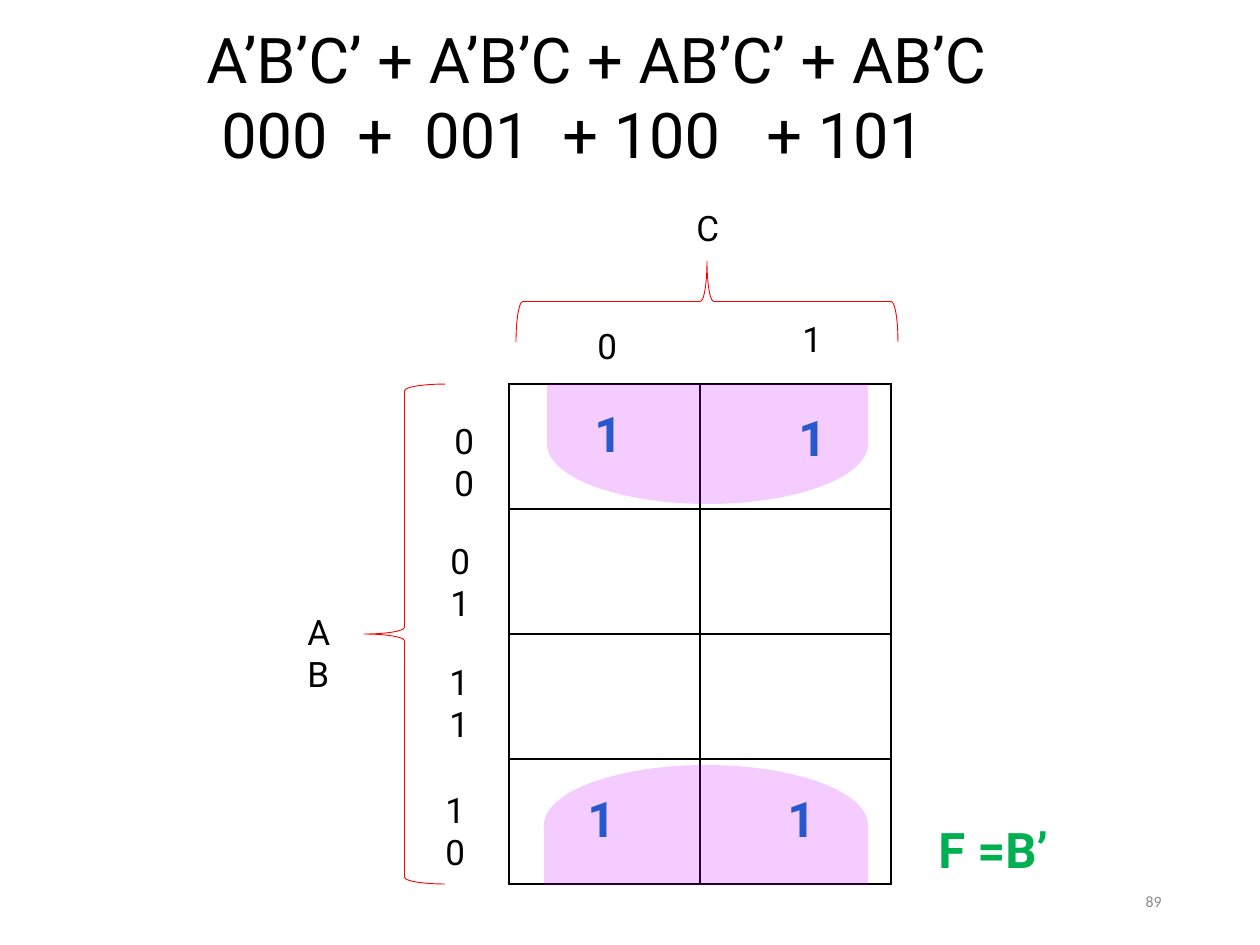
from lxml import etree
from pptx import Presentation
from pptx.dml.color import RGBColor
from pptx.enum.shapes import MSO_SHAPE
from pptx.enum.text import MSO_ANCHOR, PP_ALIGN
from pptx.oxml.ns import qn
from pptx.util import Emu, Pt

BRACE = MSO_SHAPE.RIGHT_BRACE
DELAY = MSO_SHAPE.FLOWCHART_DELAY
MIDDLE = MSO_ANCHOR.MIDDLE
RIGHT = PP_ALIGN.RIGHT

BLACK, RED, BLUE, GREEN = "000000", "FF0000", "0070C0", "00B050"
GRAY, PURPLE = "8C8C8C", "CC00FF"

# Content: places are left, top, width, height in px
EXPRESSION = "A’B’C’ + A’B’C + AB’C’ + AB’C\n\t000\t+\t001\t+ 100\t+ 101"
EXPRESSION_PLACE = (194, 14, 911, 165)
EXPRESSION_TABS = (15, 151, 218, 356, 560)

MAP_PLACE = (509, 384, 382, 500)
MAP_ROWS, MAP_COLUMNS = 4, 2

LABELS = [
    ("00", (442, 413, 64, 55)),
    ("01", (438, 533, 64, 55)),
    ("11", (437, 654, 64, 55)),
    ("10", (433, 782, 64, 55)),
    ("0", (585, 318, 44, 55)),
    ("1", (790, 311, 54, 55)),
    ("AB", (295, 604, 68, 55)),
    ("C", (684, 200, 47, 55)),
]
ONES = [(786, 401), (582, 397), (775, 782), (575, 782)]
BRACES = [((516, 261, 382, 81), 270), ((364, 384, 81, 500), 180)]
GROUPS = [((547, 384, 321, 120), 90), ((544, 765, 324, 120), 270)]
RESULT = ("F =B’", (926, 813, 158, 72))
PAGE_NUMBER = ("89", (890, 876, 284, 50))


def px(length):
    return Emu(round(length * 914400 / 126))


def color(value):
    return RGBColor.from_string(value)


def add_text(text, place, size, shade=BLACK, font="Roboto", bold=False):
    box = page.shapes.add_textbox(*map(px, place))
    frame = box.text_frame
    frame.word_wrap = True
    frame.text = text
    for para in frame.paragraphs:
        for span in para.runs:
            span.font.name = font
            span.font.size = Pt(size)
            span.font.bold = bold
            span.font.color.rgb = color(shade)
    return frame


def add_turned(kind, place, rotation):
    """Place a rotated shape by the area it covers after turning."""
    left, top, across, down = place
    width, height = (across, down) if rotation == 180 else (down, across)
    left += (across - width) / 2
    top += (down - height) / 2
    shape = page.shapes.add_shape(kind, *map(px, (left, top, width, height)))
    shape.rotation = rotation
    shape.shadow.inherit = False
    return shape


def add_borders(cell):
    properties = cell._tc.get_or_add_tcPr()
    for index, side in enumerate(("lnL", "lnR", "lnT", "lnB")):
        line = etree.Element(qn("a:" + side), w=str(Pt(1)))
        fill = etree.SubElement(line, qn("a:solidFill"))
        etree.SubElement(fill, qn("a:srgbClr"), val=BLACK)
        properties.insert(index, line)


deck = Presentation()
deck.slide_width, deck.slide_height = px(1260), px(945)
page = deck.slides.add_slide(deck.slide_layouts[6])

# Page number
number = add_text(*PAGE_NUMBER, 9, GRAY, "Calibri")
number.vertical_anchor = MIDDLE
number.paragraphs[0].alignment = RIGHT

# Karnaugh map
grid = page.shapes.add_table(MAP_ROWS, MAP_COLUMNS, *map(px, MAP_PLACE)).table
grid.first_row = grid.horz_banding = False
for cell in grid.iter_cells():
    cell.fill.background()
    add_borders(cell)

# Row and column labels
for text, place in LABELS:
    add_text(text, place, 20)

# Braces
for place, rotation in BRACES:
    brace = add_turned(BRACE, place, rotation)
    brace.fill.background()
    brace.line.color.rgb = color(RED)
    brace.line.width = Pt(0.5)

# Ones in the map
for left, top in ONES:
    add_text("1", (left, top, 57, 72), 28, BLUE, bold=True)

# Translucent groups
for place, rotation in GROUPS:
    group = add_turned(DELAY, place, rotation)
    group.fill.solid()
    group.fill.fore_color.rgb = color(PURPLE)
    group.line.fill.background()
    shade = group.fill._xPr.find(".//" + qn("a:srgbClr"))
    etree.SubElement(shade, qn("a:alpha"), val="20000")

# Result and expression
add_text(*RESULT, 28, GREEN, bold=True)
expression = add_text(EXPRESSION, EXPRESSION_PLACE, 36)
tab_list = etree.SubElement(
    expression.paragraphs[1]._p.get_or_add_pPr(), qn("a:tabLst"))
for stop in EXPRESSION_TABS:
    etree.SubElement(tab_list, qn("a:tab"), pos=str(px(stop)), algn="l")

deck.save("out.pptx")
